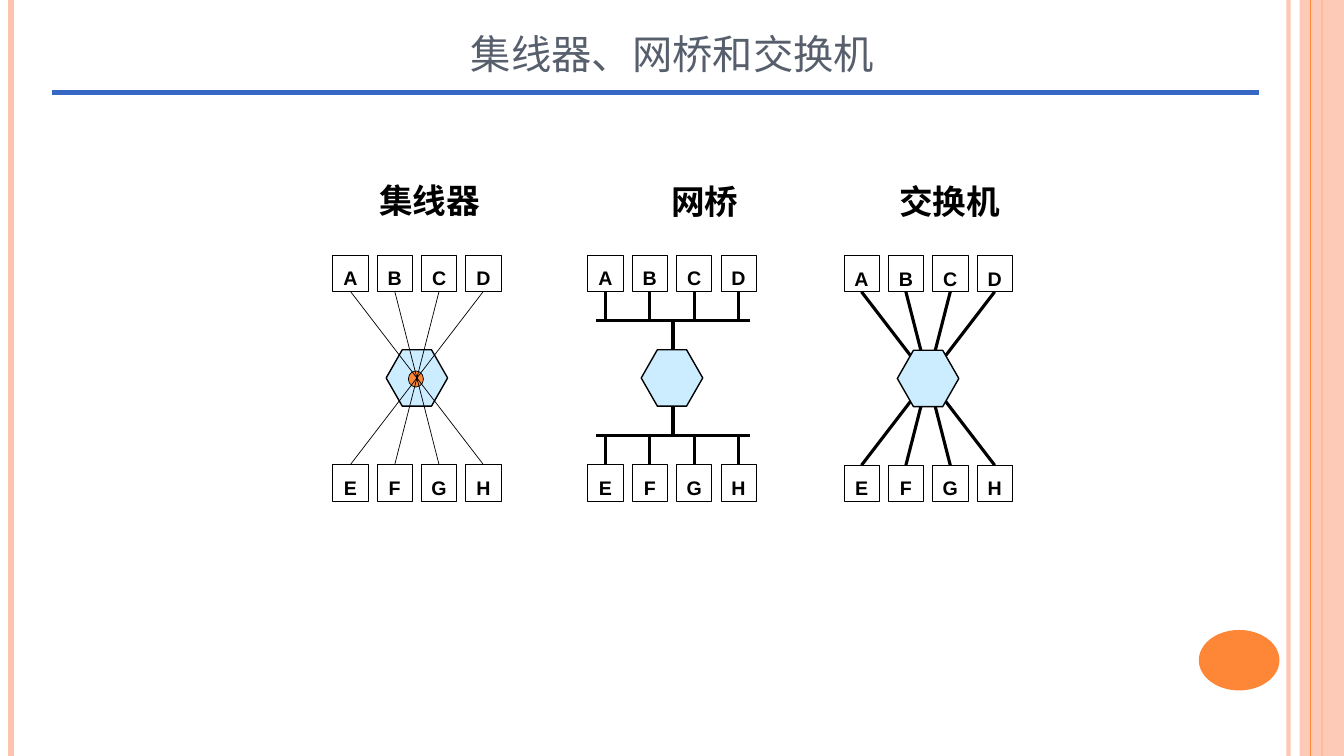
from pptx import Presentation
from pptx.dml.color import RGBColor
from pptx.enum.shapes import MSO_CONNECTOR, MSO_SHAPE
from pptx.enum.text import MSO_ANCHOR, PP_ALIGN
from pptx.oxml import parse_xml
from pptx.oxml.ns import nsdecls
from pptx.util import Inches, Pt

TITLE = "集线器、网桥和交换机"
# name, name box left and top, left of the first host box, top of the upper hosts
HUB = ("集线器", 3.58, 1.66, 3.30, 2.53)
BRIDGE = ("网桥", 6.31, 1.67, 5.83, 2.53)
SWITCH = ("交换机", 8.74, 1.67, 8.37, 2.535)
UPPER_HOSTS, LOWER_HOSTS = "ABCD", "EFGH"
# x, colour, width, opacity of the vertical stripes
STRIPES_BELOW = [(12.78, "stripe", 3, 93), (0.11, "stripe", 4.5, 100),
                 (13.11, "orange", 1.5, 100)]
STRIPE_ABOVE = (13, "orange", 0.75, 100)

THEME = {
    "stripe": "FEC3AE", "orange": "FE8637", "title": "575F6D", "rule": "3668C4",
    "device": "CCECFF", "ink": "000000",
    "title_size": 36, "name_size": 24, "host_size": 14,
    "title_font": "TeX Gyre Schola", "name_font": "Times New Roman", "host_font": "Arial",
    "thin": 0.5, "outline": 1, "thick": 2.25,
}
WIDTH, HEIGHT = 13.33, 7.5
HOST_WIDTH, HOST_HEIGHT, HOST_STEP, ROW_STEP = 0.35, 0.36, 0.44, 2.08
DEVICE_WIDTH, DEVICE_HEIGHT, DEVICE_DROP = 0.61, 0.56, 0.94
ROW_SPAN = 3 * HOST_STEP + HOST_WIDTH
BUS_WIDTH, BUS_GAP = 1.52, 0.29
TOP, BOTTOM = 0, 2

presentation = Presentation()
presentation.slide_width, presentation.slide_height = Inches(WIDTH), Inches(HEIGHT)
slide = presentation.slides.add_slide(presentation.slide_layouts[6])
shapes = slide.shapes


def colour(name):
    return RGBColor.from_string(THEME[name])


def set_opacity(fill_owner, percent):
    for node in fill_owner.iter("{*}srgbClr"):
        node.append(parse_xml(f'<a:alpha {nsdecls("a")} val="{percent * 1000}"/>'))


def add_line(start, end, color="ink", width=THEME["thick"], opacity=100):
    line = shapes.add_connector(MSO_CONNECTOR.STRAIGHT, *map(Inches, start + end))
    line.line.color.rgb = colour(color)
    line.line.width = Pt(width)
    if opacity < 100:
        set_opacity(line._element.spPr, opacity)
    line._element.spPr.append(parse_xml(f'<a:effectLst {nsdecls("a")}/>'))
    return line


def add_stripe(x, color, width, opacity):
    add_line((x, 0), (x, HEIGHT), color, width, opacity)


def add_figure(kind, box, fill=None, outline=None):
    shape = shapes.add_shape(kind, *map(Inches, box))
    shape.shadow.inherit = False
    if fill:
        shape.fill.solid()
        shape.fill.fore_color.rgb = colour(fill)
    else:
        shape.fill.background()
    if outline:
        shape.line.color.rgb = colour("ink")
        shape.line.width = Pt(outline)
    else:
        shape.line.fill.background()
    return shape


def write(shape, text, size, font, color="ink", bold=True, spacing=1.2,
          anchor=MSO_ANCHOR.TOP, small_caps=False, wrap=True):
    frame = shape.text_frame
    frame.word_wrap, frame.vertical_anchor = wrap, anchor
    paragraph = frame.paragraphs[0]
    paragraph.alignment, paragraph.line_spacing = PP_ALIGN.CENTER, spacing
    run = paragraph.add_run()
    run.text = text
    run.font.size, run.font.name, run.font.bold = Pt(size), font, bold
    run.font.color.rgb = colour(color)
    if small_caps:
        run.font._element.set("cap", "small")


def add_text(box, text, **text_format):
    write(shapes.add_textbox(*map(Inches, box)), text, **text_format)


def add_hosts(letters, left, top):
    hosts = []
    for index, letter in enumerate(letters):
        box = (left + index * HOST_STEP, top, HOST_WIDTH, HOST_HEIGHT)
        host = add_figure(MSO_SHAPE.RECTANGLE, box, outline=THEME["thin"])
        frame = host.text_frame
        frame.margin_left = frame.margin_right = frame.margin_bottom = 0
        frame.margin_top = Inches(0.05)
        write(host, letter, THEME["host_size"], THEME["host_font"], anchor=MSO_ANCHOR.MIDDLE)
        hosts.append(host)
    return hosts


def add_device(left, top):
    box = (left + (ROW_SPAN - DEVICE_WIDTH) / 2, top + DEVICE_DROP, DEVICE_WIDTH, DEVICE_HEIGHT)
    device = add_figure(MSO_SHAPE.HEXAGON, box, "device", THEME["outline"])
    device.adjustments[0] = 0.286


def add_name_and_hosts(name, name_left, name_top, left, top):
    add_text((name_left, name_top, 1.36, 0.59), name,
             size=THEME["name_size"], font=THEME["name_font"])
    return add_hosts(UPPER_HOSTS, left, top), add_hosts(LOWER_HOSTS, left, top + ROW_STEP)


def cross_hosts(upper, lower, width):
    """Join each upper host to the lower host diagonally opposite."""
    for above, below in zip(upper, reversed(lower)):
        line = add_line((0, 0), (1, 1), width=width)
        line.begin_connect(above, BOTTOM)
        line.end_connect(below, TOP)


def add_bus(hosts, side, bus_y, center, device_y):
    """Draw a bus with a stub to each host and one to the device."""
    add_line((center - BUS_WIDTH / 2, bus_y), (center + BUS_WIDTH / 2, bus_y))
    for host in hosts:
        x = (host.left + host.width / 2) / Inches(1)
        add_line((x, bus_y), (x, bus_y)).begin_connect(host, side)
    add_line((center, bus_y), (center, device_y))


# Frame and title
for stripe in STRIPES_BELOW:
    add_stripe(*stripe)
band = add_figure(MSO_SHAPE.RECTANGLE, (12.89, 0, 0.44, HEIGHT), "stripe")
set_opacity(band._element.spPr, 87)
add_stripe(*STRIPE_ABOVE)
add_figure(MSO_SHAPE.OVAL, (11.89, 6.25, 0.8, 0.6), "orange")
add_text((2.22, 0.05, 8.9, 0.79), TITLE, size=THEME["title_size"], font=THEME["title_font"],
         color="title", bold=False, spacing=1.0, anchor=MSO_ANCHOR.BOTTOM, small_caps=True)
add_line((0.52, 0.92), (12.49, 0.92), "rule", 3.5)

# Hub: every wire meets at one point inside the device
left, top = HUB[3:]
add_device(left, top)
add_figure(MSO_SHAPE.OVAL, (4.05, 3.68, 0.15, 0.16), "orange", THEME["thin"])
cross_hosts(*add_name_and_hosts(*HUB), THEME["thin"])

# Bridge: one bus on each side of the device
left, top = BRIDGE[3:]
upper_hosts, lower_hosts = add_name_and_hosts(*BRIDGE)
center, middle = left + ROW_SPAN / 2 + 0.01, top + DEVICE_DROP + DEVICE_HEIGHT / 2
add_bus(upper_hosts, BOTTOM, top + HOST_HEIGHT + BUS_GAP, center, middle)
add_bus(lower_hosts, TOP, top + ROW_STEP - BUS_GAP, center, middle)
add_device(left, top)

# Switch: separate wires behind the device
left, top = SWITCH[3:]
cross_hosts(*add_name_and_hosts(*SWITCH), THEME["thick"])
add_device(left, top)

presentation.save("out.pptx")
